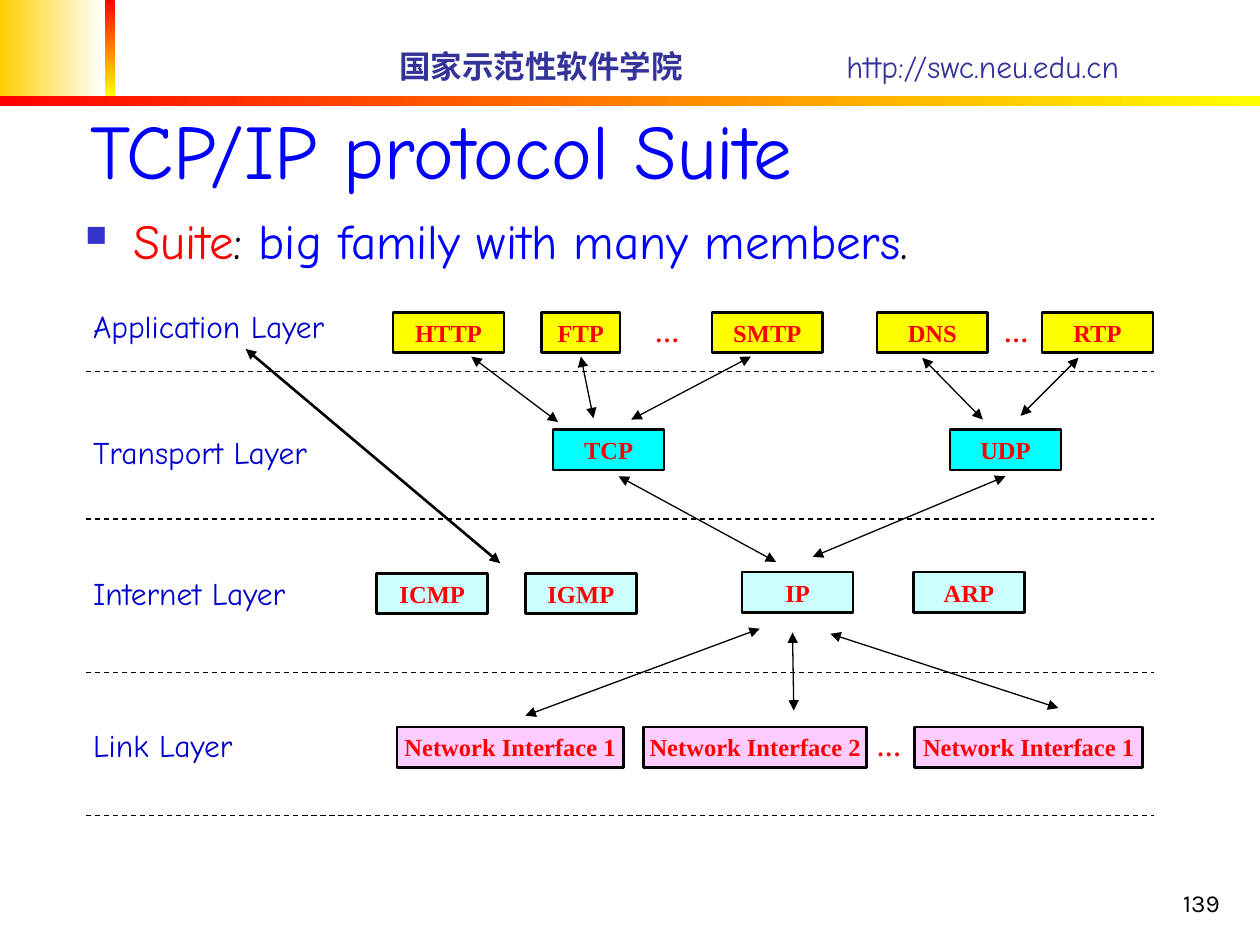
from lxml.etree import SubElement
from pptx import Presentation
from pptx.dml.color import RGBColor
from pptx.enum.dml import MSO_LINE
from pptx.enum.shapes import MSO_CONNECTOR, MSO_SHAPE
from pptx.enum.text import MSO_ANCHOR, MSO_AUTO_SIZE, PP_ALIGN
from pptx.oxml.ns import qn
from pptx.util import Inches, Pt

BLACK = RGBColor(0x00, 0x00, 0x00)
WHITE = RGBColor(0xFF, 0xFF, 0xFF)
RED = RGBColor(0xFF, 0x00, 0x00)
YELLOW = RGBColor(0xFF, 0xFF, 0x00)
GOLD = RGBColor(0xFF, 0xCF, 0x01)
BLUE = RGBColor(0x00, 0x00, 0xFF)
LABEL_BLUE = RGBColor(0x00, 0x00, 0xCC)
HEADER_BLUE = RGBColor(0x33, 0x33, 0x99)
BULLET_BLUE = RGBColor(0x33, 0x33, 0xCC)
CYAN = RGBColor(0x00, 0xFF, 0xFF)
PALE_CYAN = RGBColor(0xCC, 0xFF, 0xFF)
PINK = RGBColor(0xFF, 0xCC, 0xFF)

COLUMNS, ROWS = 100, 75
BOX_WIDTH, BOX_HEIGHT = 8.8, 3.2

PROTOCOLS = [
    (YELLOW, 24.8, [("HTTP", 31.2, BOX_WIDTH), ("FTP", 43, 6.2), ("SMTP", 56.5, BOX_WIDTH),
                    ("DNS", 69.6, BOX_WIDTH), ("RTP", 82.7, BOX_WIDTH)]),
    (CYAN, 34.1, [("TCP", 43.9, BOX_WIDTH), ("UDP", 75.4, BOX_WIDTH)]),
    (PALE_CYAN, 45.5, [("ICMP", 29.9, BOX_WIDTH), ("IGMP", 41.7, BOX_WIDTH)]),
    (PALE_CYAN, 45.4, [("IP", 58.9, BOX_WIDTH), ("ARP", 72.5, BOX_WIDTH)]),
    (PINK, 57.7, [("Network Interface 1", 31.5, 18), ("Network Interface 2", 51.1, 17.7),
                  ("Network Interface 1", 72.6, 18.1)]),
]
ELLIPSES = [(50.4, 24.8), (78.1, 24.8), (68, 57.7)]
LAYERS = [("Application Layer", 23.6, 29.5), ("Transport Layer", 33.6, 41.2),
          ("Internet Layer", 44.8, 53.4), ("Link Layer", 56.8, 64.7)]
ARROWS = [
    ((37.4, 28.3), (44.3, 33.5)), ((46.1, 28.3), (47.1, 33.2)),
    ((59.6, 28.3), (50.1, 33.3)), ((73.2, 28.4), (78, 33.3)),
    ((85.6, 28.4), (81, 33)), ((49.1, 37.8), (61.6, 44.6)),
    ((79.8, 37.8), (64.5, 44.2)), ((60.3, 49.9), (41.7, 56.8)),
    ((62.9, 50.2), (63, 56.4)), ((65.9, 50.3), (84, 56.2)),
]


def add_run(paragraph, text, *, size=18, font="Comic Neue", color=BLACK, bold=False):
    run = paragraph.add_run()
    run.text = text
    run.font.size = Pt(size)
    run.font.name = font
    run.font.color.rgb = color
    run.font.bold = bold


class SlideBuilder:
    box_style = {"size": 14, "font": "Times New Roman", "color": RED, "bold": True}

    def __init__(self, presentation):
        self.column = presentation.slide_width / COLUMNS
        self.row = presentation.slide_height / ROWS
        self.slide = presentation.slides.add_slide(presentation.slide_layouts[5])

    def place(self, left, top, width, height):
        return (round(left * self.column), round(top * self.row),
                round(width * self.column), round(height * self.row))

    def set_text(self, shape, text, *, align=PP_ALIGN.LEFT, anchor=MSO_ANCHOR.MIDDLE,
                 wrap=True, **style):
        frame = shape.text_frame
        frame.auto_size = MSO_AUTO_SIZE.NONE
        frame.word_wrap = wrap
        frame.vertical_anchor = anchor
        paragraph = frame.paragraphs[0]
        paragraph.alignment = align
        if text:
            add_run(paragraph, text, **style)
        return paragraph

    def title(self, text, *bounds):
        shape = self.slide.shapes.title
        shape.left, shape.top, shape.width, shape.height = self.place(*bounds)
        self.set_text(shape, text, anchor=MSO_ANCHOR.BOTTOM, size=44, color=BLUE)

    def text(self, text, *bounds, **style):
        shape = self.slide.shapes.add_textbox(*self.place(*bounds))
        return self.set_text(shape, text, **style)

    def rectangle(self, *bounds):
        shape = self.slide.shapes.add_shape(MSO_SHAPE.RECTANGLE, *self.place(*bounds))
        shape.shadow.inherit = False
        return shape

    def gradient(self, start, end, angle, *bounds):
        shape = self.rectangle(*bounds)
        shape.line.fill.background()
        shape.fill.gradient()
        shape.fill.gradient_angle = angle
        for stop, color, position in zip(shape.fill.gradient_stops, (start, end), (0, 1)):
            stop.color.rgb = color
            stop.position = position

    def protocol(self, text, color, *bounds):
        shape = self.rectangle(*bounds)
        shape.fill.solid()
        shape.fill.fore_color.rgb = color
        shape.line.color.rgb = BLACK
        shape.line.width = Pt(1.5)
        self.set_text(shape, text, align=PP_ALIGN.CENTER, wrap=False, **self.box_style)

    def line(self, start, end, *, width=0.75, dashed=False, arrows=False):
        connector = self.slide.shapes.add_connector(
            MSO_CONNECTOR.STRAIGHT, *self.place(*start, *end))
        connector.line.color.rgb = BLACK
        connector.line.width = Pt(width)
        if dashed:
            connector.line.dash_style = MSO_LINE.DASH
        properties = connector._element.spPr
        if arrows:
            outline = properties.find(qn("a:ln"))
            for tag in ("a:headEnd", "a:tailEnd"):
                SubElement(outline, qn(tag), type="triangle")
        SubElement(properties, qn("a:effectLst"))

    def bullet(self, parts, *bounds):
        paragraph = self.text("", *bounds, anchor=MSO_ANCHOR.TOP)
        properties = paragraph._p.get_or_add_pPr()
        properties.set("marL", str(Inches(0.38)))
        properties.set("indent", str(-Inches(0.38)))
        color = SubElement(properties, qn("a:buClr"))
        SubElement(color, qn("a:srgbClr"), val=str(BULLET_BLUE))
        SubElement(properties, qn("a:buSzPct"), val="60000")
        SubElement(properties, qn("a:buChar"), char="■")
        for text, run_color in parts:
            add_run(paragraph, text, size=28, color=run_color)

    def header(self, name, address, *bounds):
        paragraph = self.text("", *bounds)
        tabs = SubElement(paragraph._p.get_or_add_pPr(), qn("a:tabLst"))
        SubElement(tabs, qn("a:tab"), pos=str(Inches(3.55)), algn="l")
        add_run(paragraph, name + "\t", color=HEADER_BLUE, bold=True)
        add_run(paragraph, address, color=HEADER_BLUE)


def main():
    presentation = Presentation()
    presentation.slide_width = Inches(10)
    presentation.slide_height = Inches(7.5)
    builder = SlideBuilder(presentation)

    builder.gradient(GOLD, WHITE, 0, 0, 0, 8.3, 7.6)
    builder.gradient(RED, YELLOW, 270, 8.3, 0, 0.8, 7.6)
    builder.gradient(RED, YELLOW, 0, 0, 7.6, COLUMNS, 0.8)
    builder.header("国家示范性软件学院", "http://swc.neu.edu.cn", 30.7, 3.2, 67, 4)
    builder.text("139", 77, 68.3, 20.8, 5, align=PP_ALIGN.RIGHT,
                 anchor=MSO_ANCHOR.BOTTOM, size=14, font="Karla")
    builder.title("TCP/IP protocol Suite", 6.2, 0, 85.2, 16)
    builder.bullet([("Suite", RED), (": ", BLACK), ("big family with many members", BLUE),
                    (".", BLACK)], 5.8, 16.2, 89.1, 50.8)

    for label, top, divider in LAYERS:
        builder.line((6.8, divider), (91.6, divider), dashed=True)
        builder.text(label, 6.4, top, 21, 4.6, color=LABEL_BLUE)
    for color, top, boxes in PROTOCOLS:
        for name, left, width in boxes:
            builder.protocol(name, color, left, top, width, BOX_HEIGHT)
    for left, top in ELLIPSES:
        builder.text("…", left, top, 5.1, BOX_HEIGHT, align=PP_ALIGN.CENTER,
                     wrap=False, **builder.box_style)
    for start, end in ARROWS:
        builder.line(start, end, arrows=True)
    builder.line((19.5, 27.7), (39.7, 44.7), width=1.5, arrows=True)

    presentation.save("out.pptx")


if __name__ == "__main__":
    main()
